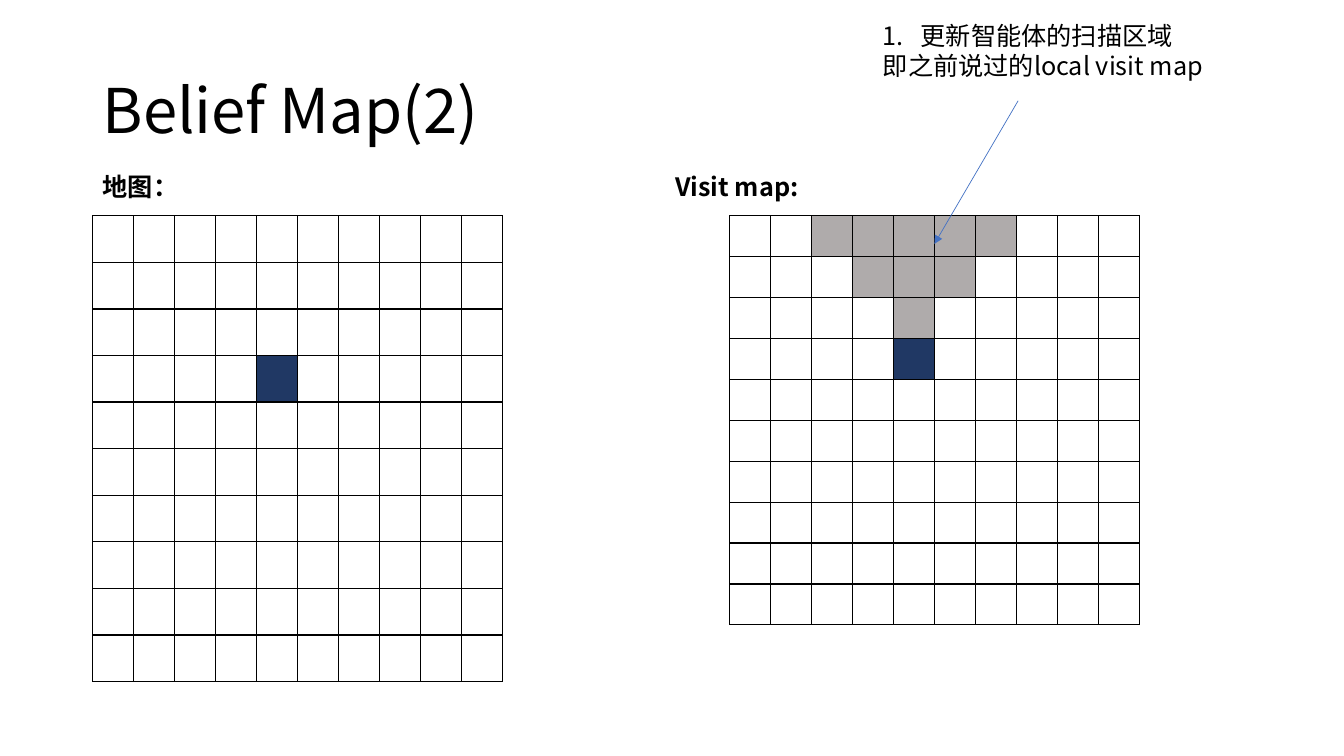
from lxml import etree
from pptx import Presentation, util as u
from pptx.dml.color import RGBColor
from pptx.enum import shapes, text
from pptx.oxml.ns import qn

FONT = "Noto Sans CJK SC"
BLACK = RGBColor(0, 0, 0)
NAVY = RGBColor(0x20, 0x38, 0x64)
GREY = RGBColor(0xAF, 0xAB, 0xAB)
BLUE = RGBColor(0x44, 0x72, 0xC4)

# The slide is laid out on a grid of 0.1 inch columns and rows
UNIT = 0.1
COLS, ROWS = 133.33, 75
CELLS = 10  # cells along each side of a map
AGENT = (3, 4)  # row and column
SCAN = {(r, c) for r in range(3) for c in range(2 + r, 7 - r)}


def g(n):
    return u.Inches(n * UNIT)


def place(sp, box):
    sp.left, sp.top, sp.width, sp.height = map(g, box)


def write(tf, lines, size, **formats):
    tf.word_wrap = True
    for i, line in enumerate(lines):
        p = tf.paragraphs[0] if i == 0 else tf.add_paragraph()
        p.alignment = text.PP_ALIGN.LEFT
        r = p.add_run()
        r.text = line
        for name, value in {"name": FONT, "size": u.Pt(size), **formats}.items():
            setattr(r.font, name, value)
        r.font.color.rgb = BLACK
        etree.SubElement(r.font._element, qn("a:ea"), typeface=FONT)


def add_title(s, box, title):
    sp = s.shapes.title
    place(sp, box)
    tf = sp.text_frame
    write(tf, [title], 44)
    tf.vertical_anchor = text.MSO_ANCHOR.MIDDLE
    tf.paragraphs[0].line_spacing = 0.9


def add_text(s, box, lines, **formats):
    tf = s.shapes.add_textbox(*map(g, box)).text_frame
    write(tf, lines, 18, **formats)
    return tf


def border_cell(cell):
    tc_pr = cell._tc.get_or_add_tcPr()
    for i, side in enumerate(("lnL", "lnR", "lnT", "lnB")):
        ln = etree.Element(qn(f"a:{side}"), w=str(u.Pt(1)))
        fill = etree.SubElement(ln, qn("a:solidFill"))
        etree.SubElement(fill, qn("a:srgbClr"), val=str(BLACK))
        tc_pr.insert(i, ln)


def add_map(s, box, fills):
    table = s.shapes.add_table(CELLS, CELLS, *map(g, box)).table
    table.first_row = table.horz_banding = False
    for col in table.columns:
        col.width = g(box[2] / CELLS)
    for row in table.rows:
        row.height = g(box[3] / CELLS)
    for i in range(CELLS * CELLS):
        at = divmod(i, CELLS)
        cell = table.cell(*at)
        if at in fills:
            cell.fill.solid()
            cell.fill.fore_color.rgb = fills[at]
        else:
            cell.fill.background()
        border_cell(cell)
        # Small empty text keeps the rows at their set height
        cell.text_frame.paragraphs[0]._p.get_or_add_endParaRPr().set("sz", "1200")


def add_labelled_map(s, box, label, offset, fills):
    left, top = box[:2]
    add_map(s, box, fills)
    add_text(s, (left + offset, top - 4.9, 35, 4), [label], bold=True)


def add_scan_note(s, box, lines):
    left, top = box[:2]
    tf = add_text(s, box, lines)

    # Number the first line
    p_pr = tf.paragraphs[0]._p.get_or_add_pPr()
    p_pr.set("marL", str(g(3.75)))
    p_pr.set("indent", str(-g(3.75)))
    etree.SubElement(p_pr, qn("a:buFont"), typeface="+mj-lt")
    etree.SubElement(p_pr, qn("a:buAutoNum"), type="arabicPeriod")

    # Arrow down to the scanned area
    ends = (left + 14.4, top + 8.5, left + 6.1, top + 22.7)
    arrow = s.shapes.add_connector(shapes.MSO_CONNECTOR.STRAIGHT, *map(g, ends))
    arrow.line.color.rgb = BLUE
    arrow.line.width = u.Pt(0.5)
    etree.SubElement(arrow.line._get_or_add_ln(), qn("a:tailEnd"), type="triangle")
    etree.SubElement(arrow._element.spPr, qn("a:effectLst"))


def build_belief_map(prs):
    s = prs.slides.add_slide(prs.slide_layouts[5])
    add_title(s, (9.2, 4, 115, 14.5), "Belief Map(2)")
    agent = {AGENT: NAVY}
    add_labelled_map(s, (9.2, 21.4, 40.7, 46.25), "地图:".replace(":", "："), 0, agent)
    add_labelled_map(s, (72.4, 21.4, 40.7, 40.6), "Visit map:", -6.4,
                     {**dict.fromkeys(SCAN, GREY), **agent})
    add_scan_note(s, (86.6, 1.5, 42.6, 7.1),
                  ["更新智能体的扫描区域", "即之前说过的local visit map"])


prs = Presentation()
prs.slide_width, prs.slide_height = g(COLS), g(ROWS)
build_belief_map(prs)
prs.save("out.pptx")
